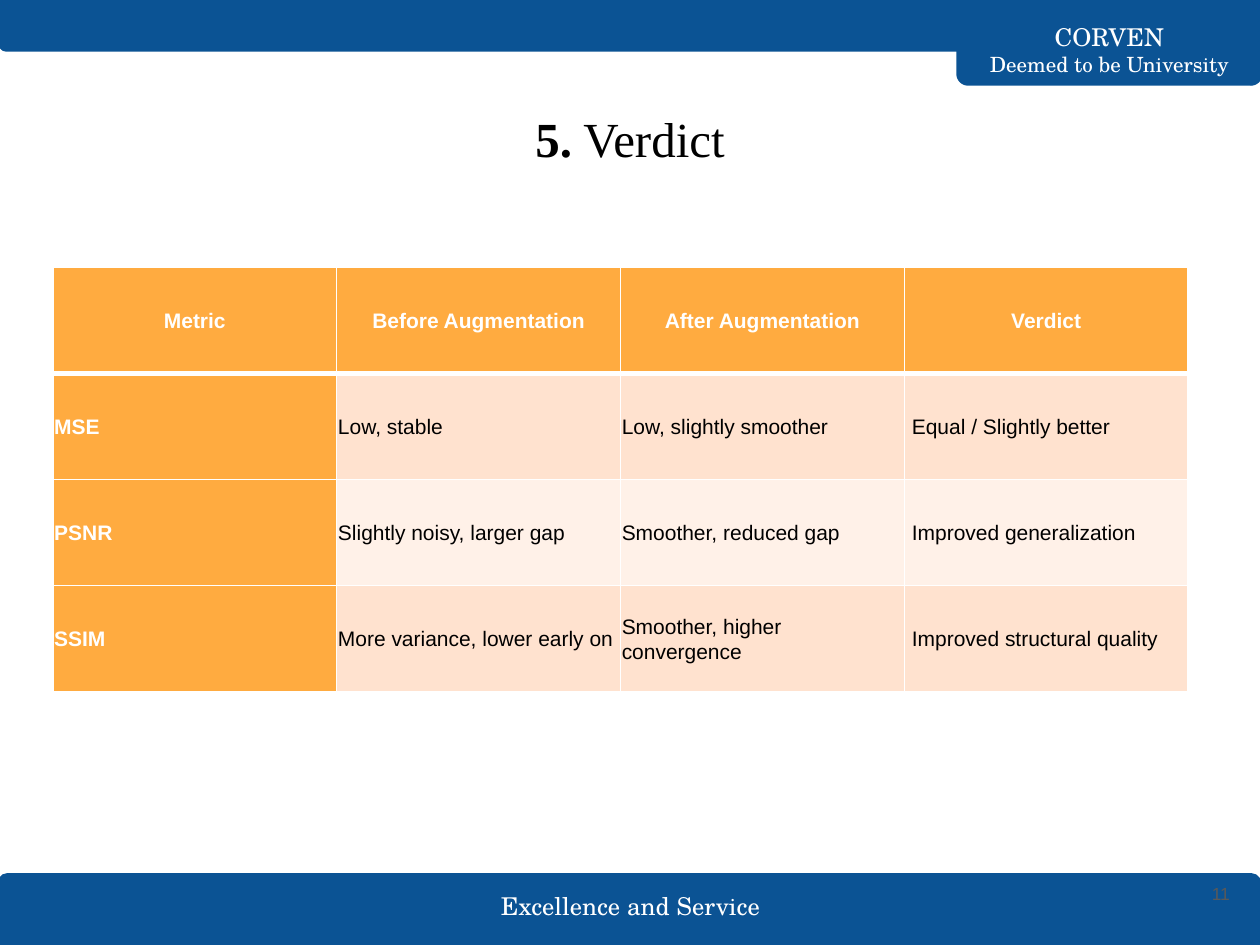
from lxml import etree
from pptx import Presentation
from pptx.dml.color import RGBColor
from pptx.enum.shapes import MSO_SHAPE
from pptx.enum.text import MSO_ANCHOR, PP_ALIGN
from pptx.oxml.ns import qn
from pptx.util import Inches, Pt

BAR = MSO_SHAPE.ROUND_2_SAME_RECTANGLE
TOP, MIDDLE = MSO_ANCHOR.TOP, MSO_ANCHOR.MIDDLE
LEFT, CENTER, RIGHT = PP_ALIGN.LEFT, PP_ALIGN.CENTER, PP_ALIGN.RIGHT
COLORS = {
    "blue": "0B5394", "white": "FFFFFF", "black": "000000", "gray": "595959",
    "orange": "FFAB40", "peach": "FFE2CF", "pale": "FFF1E8",
}
SCHOLA, TIMES, ARIAL = "TeX Gyre Schola", "Times New Roman", "Arial"


def rgb(name):
    return RGBColor.from_string(COLORS[name])


def write(para, text, font=ARIAL, size=12, color="black", bold=False, align=LEFT):
    para.alignment = align
    run = para.add_run()
    run.text = text
    run.font.name = font
    run.font.size = Pt(size)
    run.font.bold = bold
    run.font.color.rgb = rgb(color)


prs = Presentation()
prs.slide_width, prs.slide_height = Inches(10), Inches(7.5)
slide = prs.slides.add_slide(prs.slide_layouts[6])
shapes = slide.shapes

# Blue bars: footer, name tab, header
bars = [
    (-0.01, 6.94, 10.01, 0.56, 0),
    (7.6, 0, 2.41, 0.67, 180),
    (0, 0, 10.01, 0.4, 180),
]
for x, y, w, h, turn in bars:
    bar = shapes.add_shape(BAR, Inches(x), Inches(y), Inches(w), Inches(h))
    bar.adjustments[0], bar.adjustments[1] = 0.125, 0
    bar.rotation = turn
    bar.shadow.inherit = False
    bar.fill.solid()
    bar.fill.fore_color.rgb = rgb("blue")
    bar.line.color.rgb = rgb("blue")
    bar.line.width = Pt(1.5)

# Text boxes: place, anchor, then paragraphs made of runs
school = dict(font=SCHOLA, color="white", align=CENTER)
title = dict(font=TIMES, size=28, align=CENTER)
boxes = [
    (3.66, 7.03, 2.69, 0.32, MIDDLE,
     [[("Excellence and Service", dict(school, size=14))]]),
    (7.6, 0.27, 2.41, 0.25, MIDDLE,
     [[("CORVEN", dict(school, size=14))],
      [("Deemed to be University", school)]]),
    (0.34, 0.76, 9.32, 0.83, TOP,
     [[("5.", dict(title, bold=True)), (" Verdict", title)]]),
    (9.26, 6.9, 0.6, 0.38, MIDDLE,
     [[("11", dict(size=10, color="gray", align=RIGHT))]]),
]
for x, y, w, h, anchor, paras in boxes:
    frame = shapes.add_textbox(Inches(x), Inches(y), Inches(w), Inches(h)).text_frame
    frame.word_wrap = True
    frame.vertical_anchor = anchor
    frame.margin_left = frame.margin_right = Inches(0.1)
    frame.margin_top = frame.margin_bottom = Inches(0.1)
    for i, runs in enumerate(paras):
        para = frame.add_paragraph() if i else frame.paragraphs[0]
        for text, style in runs:
            write(para, text, **style)

# Metric table
rows = [
    ("Metric", "Before Augmentation", "After Augmentation", "Verdict"),
    ("MSE", "Low, stable", "Low, slightly smoother", "Equal / Slightly better"),
    ("PSNR", "Slightly noisy, larger gap", "Smoother, reduced gap",
     "Improved generalization"),
    ("SSIM", "More variance, lower early on", "Smoother, higher convergence",
     "Improved structural quality"),
]
table = shapes.add_table(len(rows), len(rows[0]), Inches(0.42), Inches(2.12),
                         Inches(9.01), Inches(3.37)).table
for r, row in enumerate(rows):
    for c, text in enumerate(row):
        cell = table.cell(r, c)
        head = r == 0 or c == 0
        cell.vertical_anchor = MIDDLE
        cell.margin_left = Inches(0.06 if c == 3 and r else 0.01)
        cell.margin_right = cell.margin_top = cell.margin_bottom = Inches(0.01)
        para = cell.text_frame.paragraphs[0]
        para.line_spacing = 1.07
        para.space_after = Pt(8)
        write(para, text, color="white" if head else "black", bold=head,
              align=CENTER if r == 0 else LEFT)

        # Borders come before the fill in the cell properties
        props = cell._tc.get_or_add_tcPr()
        for side in "LRTB":
            thick = (r, side) in ((0, "B"), (1, "T"))
            line = etree.SubElement(props, qn("a:ln" + side),
                                    w=str(Pt(3 if thick else 1)))
            fill = etree.SubElement(line, qn("a:solidFill"))
            etree.SubElement(fill, qn("a:srgbClr"), val=COLORS["white"])
        cell.fill.solid()
        cell.fill.fore_color.rgb = rgb(
            "orange" if head else "peach" if r % 2 else "pale")

prs.save("out.pptx")
